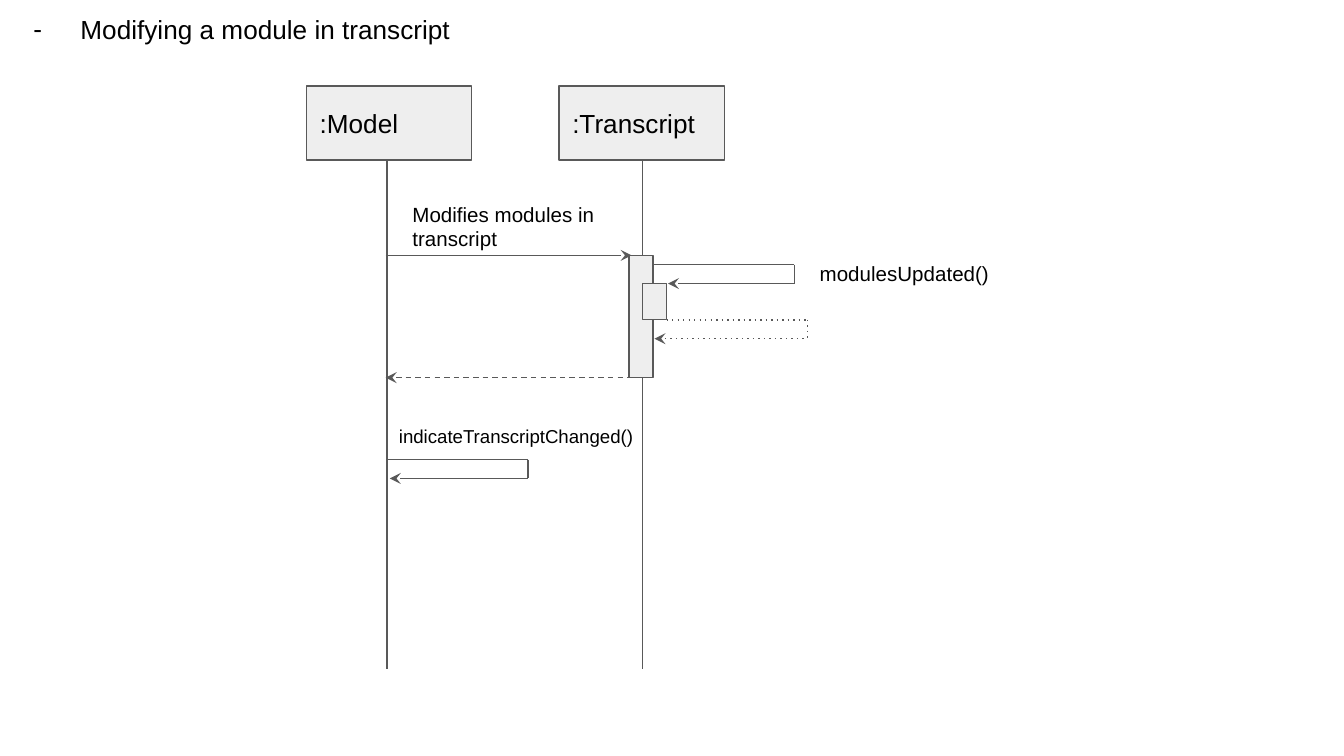
from dataclasses import dataclass

from lxml import etree
from pptx import Presentation
from pptx.dml.color import RGBColor
from pptx.enum import shapes, text
from pptx.oxml.ns import qn
from pptx.util import Inches, Pt


@dataclass(frozen=True)
class Theme:
    font: str = "Arial"
    ink: RGBColor = RGBColor(0, 0, 0)
    fill: RGBColor = RGBColor(0xEE, 0xEE, 0xEE)
    line: RGBColor = RGBColor(0x59, 0x59, 0x59)
    line_width: float = 0.75
    heading: int = 14
    label: int = 11
    small_label: int = 10


THEME = Theme()
MODEL_X, TRANSCRIPT_X = 2.88, 4.78
HEAD_TOP, HEAD_W, HEAD_H = 0.64, 1.23, 0.55
LIFELINE_END = 4.98
CALL_Y, RETURN_Y = 1.9, 2.81
BAR_W = 0.18
LOOP_H = 0.14


def style_line(line):
    line.color.rgb = THEME.line
    line.width = Pt(THEME.line_width)


def add_bullet(p, char, size):
    p_pr = p._p.get_or_add_pPr()
    p_pr.set("marL", str(Inches(0.5)))
    p_pr.set("indent", str(Inches(-0.35)))
    color = etree.SubElement(p_pr, qn("a:buClr"))
    etree.SubElement(color, qn("a:srgbClr"), val=str(THEME.ink))
    etree.SubElement(p_pr, qn("a:buSzPts"), val=str(size * 100))
    etree.SubElement(p_pr, qn("a:buFont"), typeface=THEME.font)
    etree.SubElement(p_pr, qn("a:buChar"), char=char)


def write(shape, words, size, anchor=text.MSO_ANCHOR.TOP, bullet=None):
    tf = shape.text_frame
    tf.word_wrap = True
    tf.vertical_anchor = anchor
    tf.margin_left = tf.margin_right = Inches(0.1)
    tf.margin_top = tf.margin_bottom = Inches(0.1)
    p = tf.paragraphs[0]
    p.text = words
    p.alignment = text.PP_ALIGN.LEFT
    if bullet:
        add_bullet(p, bullet, size)
    p.font.name = THEME.font
    p.font.size = Pt(size)
    p.font.color.rgb = THEME.ink


def add_box(s, x, y, w, h):
    sp = s.shapes.add_shape(shapes.MSO_SHAPE.RECTANGLE,
                            Inches(x), Inches(y), Inches(w), Inches(h))
    sp.shadow.inherit = False
    sp.fill.solid()
    sp.fill.fore_color.rgb = THEME.fill
    style_line(sp.line)
    return sp


def add_label(s, words, x, y, w, h=0.39, size=THEME.label, bullet=None):
    sp = s.shapes.add_textbox(Inches(x), Inches(y), Inches(w), Inches(h))
    write(sp, words, size, bullet=bullet)


def add_line(parent, x1, y1, x2, y2, dash=None, arrow=None):
    """Draw a straight line; arrow is headEnd (start) or tailEnd (finish)."""
    c = parent.shapes.add_connector(shapes.MSO_CONNECTOR.STRAIGHT,
                                    Inches(x1), Inches(y1), Inches(x2), Inches(y2))
    style_line(c.line)
    sp_pr = c.element.spPr
    ln = sp_pr.find(qn("a:ln"))
    if dash:
        etree.SubElement(ln, qn("a:prstDash"), val=dash)
    if arrow:
        etree.SubElement(ln, qn(f"a:{arrow}"), type="stealth")
    etree.SubElement(sp_pr, qn("a:effectLst"))


def add_participant(s, name, x, lifeline_x):
    sp = add_box(s, x, HEAD_TOP, HEAD_W, HEAD_H)
    write(sp, name, THEME.heading, text.MSO_ANCHOR.MIDDLE)
    add_line(s, lifeline_x, HEAD_TOP + HEAD_H, lifeline_x, LIFELINE_END)


def add_self_message(s, start_x, end_x, right, y, dash=None):
    """Loop out to the right and back, with the arrowhead at end_x."""
    group = s.shapes.add_group_shape()
    add_line(group, start_x, y, right, y, dash)
    add_line(group, right, y, right, y + LOOP_H, dash)
    add_line(group, end_x, y + LOOP_H, right, y + LOOP_H, dash, "headEnd")


def main():
    prs = Presentation()
    prs.slide_width = Inches(10)
    prs.slide_height = prs.slide_width * 9 // 16
    s = prs.slides.add_slide(prs.slide_layouts[6])

    add_participant(s, ":Transcript", 4.16, TRANSCRIPT_X)
    add_participant(s, ":Model", 2.28, MODEL_X)

    add_line(s, MODEL_X - 0.01, CALL_Y, 4.7, CALL_Y, arrow="tailEnd")
    add_label(s, "Modifies modules in transcript", 2.97, 1.4, 1.72)
    add_box(s, 4.68, CALL_Y, BAR_W, RETURN_Y - CALL_Y)
    add_line(s, MODEL_X - 0.01, RETURN_Y, 4.7, RETURN_Y, "dash", "headEnd")

    add_box(s, TRANSCRIPT_X, 2.11, BAR_W, 0.27)
    add_self_message(s, 4.87, 4.97, 5.91, 1.97)
    add_label(s, "modulesUpdated()", 6, 1.85, 1.72)
    add_self_message(s, 4.96, 4.87, 6.01, 2.38, "dot")

    add_self_message(s, MODEL_X, 2.9, 3.93, 3.42)
    add_label(s, "indicateTranscriptChanged()", 2.87, 3.08, 2.43,
              size=THEME.small_label)
    add_label(s, "Modifying a module in transcript", 0, 0, 6.28, 0.73,
              THEME.heading, bullet="-")
    prs.save("out.pptx")


if __name__ == "__main__":
    main()
